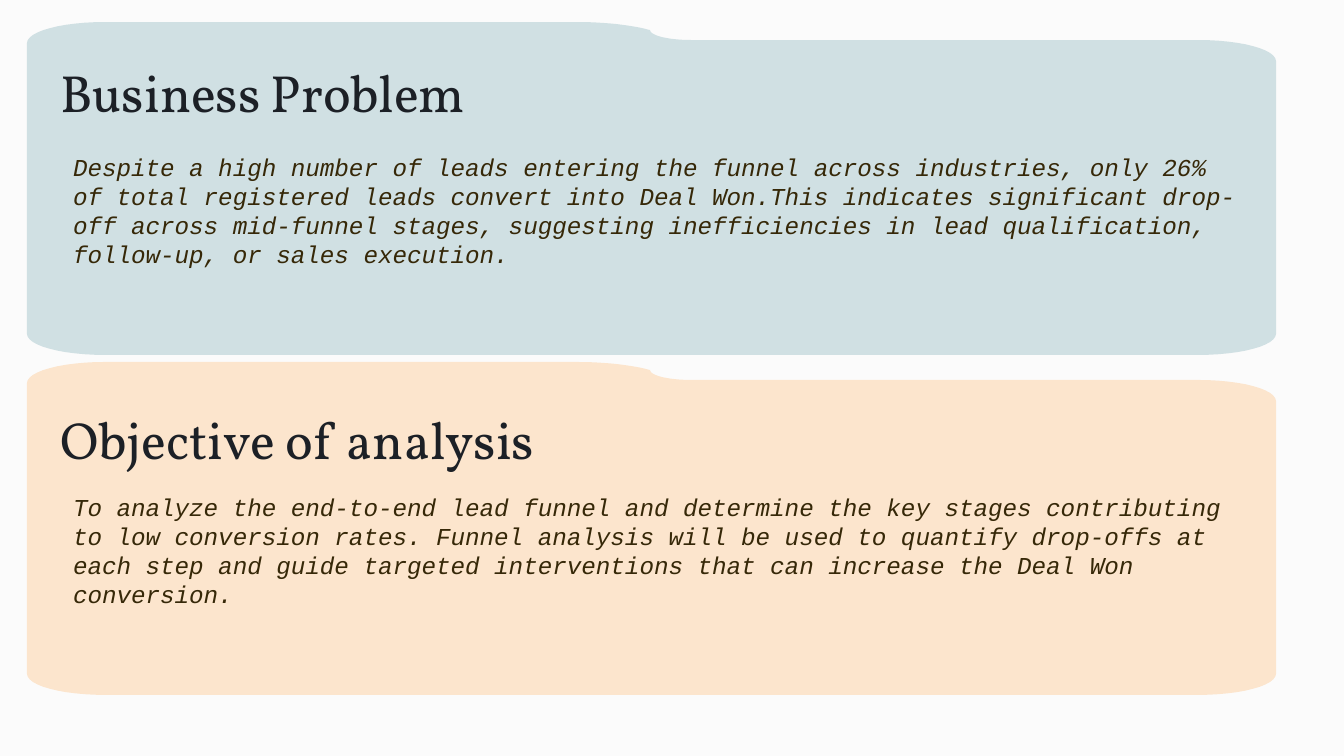
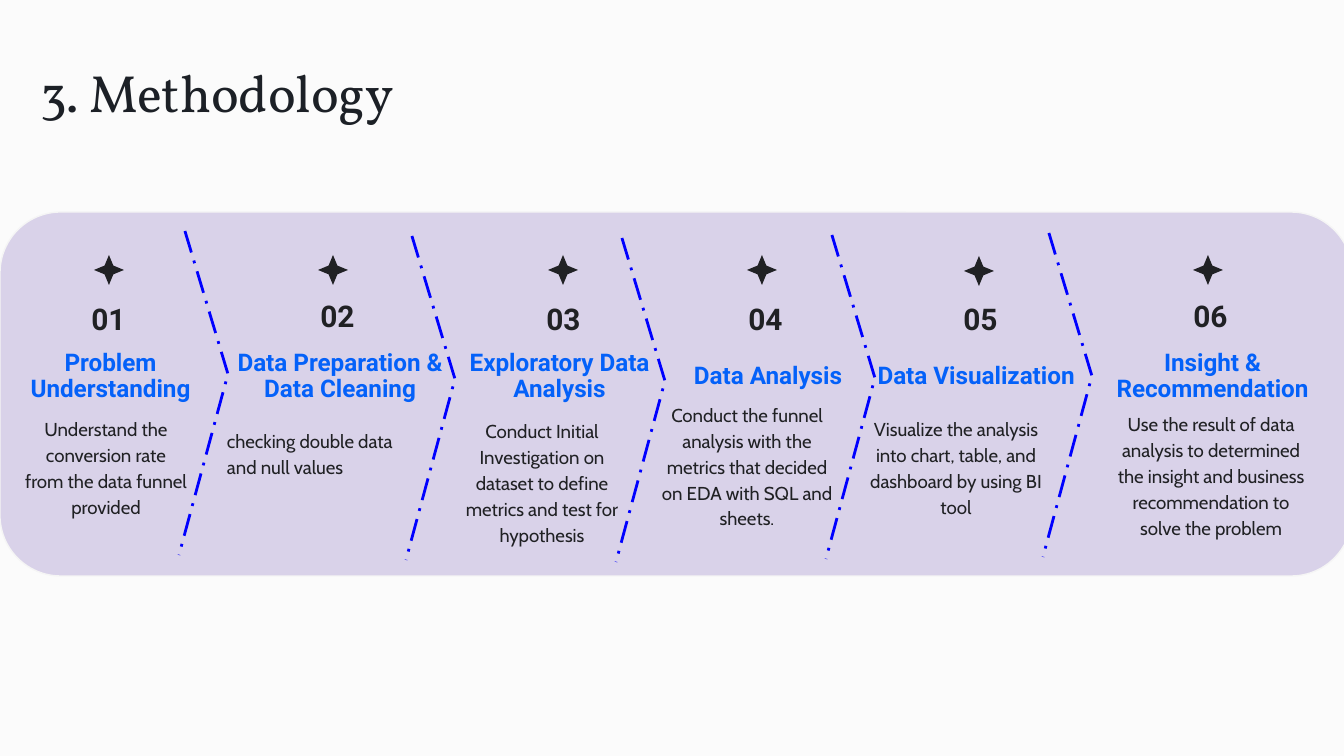
import math
from typing import NamedTuple

from lxml import etree
from pptx import Presentation
from pptx import util as u
from pptx.dml.color import RGBColor
from pptx.enum import dml, shapes, text

W, H = 1344, 756
PX = 9144000 / W
COLORS = {
    "page": "FBFBFB", "title": "1C2026", "prose": "362808", "ink": "202124",
    "blue": "D0E0E3", "peach": "FCE5CD", "lilac": "D9D2E9", "rim": "F5F5F5",
    "heading": "0461F9", "divider": "0000FF",
}
LEFT, CENTER = text.PP_ALIGN.LEFT, text.PP_ALIGN.CENTER
TOP, MIDDLE = text.MSO_ANCHOR.TOP, text.MSO_ANCHOR.MIDDLE


class Step(NamedTuple):
    """Contents of a method step and where they lie in the panel."""
    heading: str
    body: str
    star: tuple
    number: tuple
    heading_box: tuple
    body_box: tuple
    align: int = CENTER


STEPS = [
    Step("Problem Understanding",
         "Understand the conversion rate\nfrom the data funnel provided",
         (94, 43), (75, 72), (5, 211), (9, 203, 194, 152)),
    Step("Data Preparation & Data Cleaning",
         "checking double data and null values",
         (318, 43), (304, 69), (227, 226), (214, 215, 202, 125), LEFT),
    Step("Exploratory Data Analysis",
         "Conduct Initial Investigation on dataset to define metrics and test for hypothesis",
         (548, 43), (530, 72), (454, 211), (445, 205, 194, 125)),
    Step("Data Analysis",
         "Conduct the funnel analysis with the metrics that decided on EDA with SQL and sheets.",
         (747, 43), (732, 72), (671, 194), (646, 189, 202, 125)),
    Step("Data Visualization",
         "Visualize the analysis into chart, table, and dashboard by using BI tool",
         (964, 44), (947, 72), (863, 226), (855, 203, 202, 125)),
    Step("Insight & Recommendation",
         "Use the result of data analysis to determined the insight and business "
         "recommendation to solve the problem",
         (1193, 43), (1177, 69), (1091, 243), (1098, 198, 226, 140)),
]
DIVIDERS = [(179, 19), (406, 24), (616, 26), (826, 23), (1043, 21)]


def px(n):
    """Turn px into EMU."""
    return u.Emu(round(n * PX))


def rgb(name):
    """Look up a colour by name."""
    return RGBColor.from_string(COLORS[name])


def place(sp, box):
    """Move a shape to a box and bring it to the front."""
    sp.left, sp.top, sp.width, sp.height = map(px, box)
    sp.element.getparent().append(sp.element)
    return sp


def textbox(s, box):
    """Add an empty text box."""
    return s.shapes.add_textbox(*map(px, box))


def write(sp, words, font, size, color, align=LEFT, anchor=TOP, inset=(0, 0),
          spacing=1.0, after=0, bold=False, italic=False, grow=False):
    """Fill a shape with one formatted paragraph."""
    tf = sp.text_frame
    tf.word_wrap = True
    tf.auto_size = text.MSO_AUTO_SIZE.SHAPE_TO_FIT_TEXT if grow else text.MSO_AUTO_SIZE.NONE
    tf.vertical_anchor = anchor
    tf.margin_left = tf.margin_right = px(inset[0])
    tf.margin_top = tf.margin_bottom = px(inset[1])
    p = tf.paragraphs[0]
    p.alignment, p.line_spacing = align, spacing
    p.space_before, p.space_after = u.Pt(0), u.Pt(after)
    for i, line in enumerate(words.split("\n")):
        if i:
            p.add_line_break()
        r = p.add_run()
        r.text = line
        r.font.name, r.font.size = font, u.Pt(size)
        r.font.bold, r.font.italic = bold, italic
        r.font.color.rgb = rgb(color)


def write_title(sp, words):
    """Write a title in the shared style."""
    write(sp, words, "Vollkorn", 28, "title", spacing=0.9, grow=True)


def paint(sp, fill):
    """Give a shape a plain fill with no line or shadow."""
    sp.shadow.inherit = False
    sp.fill.solid()
    sp.fill.fore_color.rgb = rgb(fill)
    sp.line.fill.background()


def outline(s, x, y, points, close):
    """Draw a freeform from px points relative to x, y."""
    fine = [(px_x * 10, px_y * 10) for px_x, px_y in points]
    b = s.shapes.build_freeform(*fine[0], scale=PX / 10)
    b.add_line_segments(fine[1:], close=close)
    sp = b.convert_to_shape(px(x), px(y))
    sp.shadow.inherit = False
    return sp


def arc(cx, cy, rx, ry, start, end, steps=12):
    """List points along an elliptical arc, angles in degrees."""
    angles = [math.radians(start + (end - start) * i / steps) for i in range(steps + 1)]
    return [(cx + rx * math.cos(a), cy + ry * math.sin(a)) for a in angles]


def folder(s, box, fill, title, title_y, body, words):
    """Draw a tabbed folder card with its title and paragraph."""
    x, y, w, h = box
    rx, ry, drop = 78, 21, 18
    points = (arc(rx, ry, rx, ry, 180, 270)
              + arc(548, ry, 95, ry, -90, -39)
              + arc(664, 8, 41, 10, 180, 90)
              + arc(w - rx, drop + ry, rx, ry, -90, 0)
              + arc(w - rx, h - ry, rx, ry, 0, 90)
              + arc(rx, h - ry, rx, ry, 90, 180))
    paint(outline(s, x, y, points, True), fill)
    heading, prose = words
    title_box = (x + 33, y + title_y, 715, 56)
    write_title(place(title, title_box) if title else textbox(s, title_box), heading)
    write(place(body, (x + 33, y + 117, 1198, 173)), prose, "Courier New", 13, "prose",
          inset=(13, 13), italic=True)


def step_column(s, x, y, number, step):
    """Place the star, number, heading and text of one step."""
    star_x, star_y = step.star
    star = s.shapes.add_shape(shapes.MSO_SHAPE.STAR_4_POINT,
                              px(x + star_x), px(y + star_y), px(30), px(30))
    star.adjustments[0] = 0.206
    paint(star, "ink")
    num_x, num_y = step.number
    write(textbox(s, (x + num_x, y + num_y, 67, 70)), f"{number:02d}", "Roboto", 16, "ink",
          CENTER, MIDDLE, bold=True)
    head_x, head_w = step.heading_box
    write(textbox(s, (x + head_x, y + 137, head_w, 56)), step.heading, "Roboto", 13, "heading",
          CENTER, MIDDLE, spacing=0.9, bold=True)
    body_x, body_y, body_w, body_h = step.body_box
    write(textbox(s, (x + body_x, y + body_y, body_w, body_h)), step.body, "Cabin", 10, "ink",
          step.align, inset=(13, 0), spacing=1.15, after=2)


def divider(s, x, y):
    """Draw a dash-dot chevron between two steps."""
    sp = outline(s, x, y, [(6, 0), (49, 143), (0, 324)], False)
    sp.fill.background()
    sp.line.color.rgb = rgb("divider")
    sp.line.width = u.Pt(1.5)
    sp.line.dash_style = dml.MSO_LINE.LONG_DASH_DOT


def method_panel(s, box):
    """Draw the rounded panel with all steps and dividers."""
    x, y = box[:2]
    panel = s.shapes.add_shape(shapes.MSO_SHAPE.ROUNDED_RECTANGLE, *map(px, box))
    panel.adjustments[0] = 0.167
    paint(panel, "lilac")
    panel.line.color.rgb = rgb("rim")
    panel.line.width = u.Pt(0.75)
    for number, step in enumerate(STEPS, 1):
        step_column(s, x, y, number, step)
    for dx, dy in DIVIDERS:
        divider(s, x + dx, y + dy)


def problem_slide(prs):
    """Build the slide with the problem and the objective."""
    s = prs.slides.add_slide(prs.slide_layouts.get_by_name("Comparison"))
    held = {sp.placeholder_format.idx: sp for sp in s.placeholders}
    for idx in (2, 4):
        held[idx].element.getparent().remove(held[idx].element)
    folder(s, (27, 22, 1249, 333), "blue", held[0], 45, held[1], (
        "Business Problem",
        "Despite a high number of leads entering the funnel across industries, only 26% of "
        "total registered leads convert into Deal Won.This indicates significant drop-off "
        "across mid-funnel stages, suggesting inefficiencies in lead qualification, "
        "follow-up, or sales execution."))
    folder(s, (27, 362, 1249, 333), "peach", None, 52, held[3], (
        "Objective of analysis",
        "To analyze the end-to-end lead funnel and determine the key stages contributing to "
        "low conversion rates. Funnel analysis will be used to quantify drop-offs at each "
        "step and guide targeted interventions that can increase the Deal Won conversion."))


def method_slide(prs):
    """Build the slide with the six method steps."""
    s = prs.slides.add_slide(prs.slide_layouts.get_by_name("Title Only"))
    write_title(place(s.shapes.title, (40, 67, 735, 56)), "3. Methodology")
    method_panel(s, (0, 212, 1352, 364))


def main():
    """Build and save the deck."""
    prs = Presentation()
    prs.slide_width, prs.slide_height = px(W), px(H)
    fill = prs.slide_master.background.fill
    fill.solid()
    fill.fore_color.rgb = rgb("page")
    problem_slide(prs)
    method_slide(prs)
    prs.save("out.pptx")


if __name__ == "__main__":
    main()
